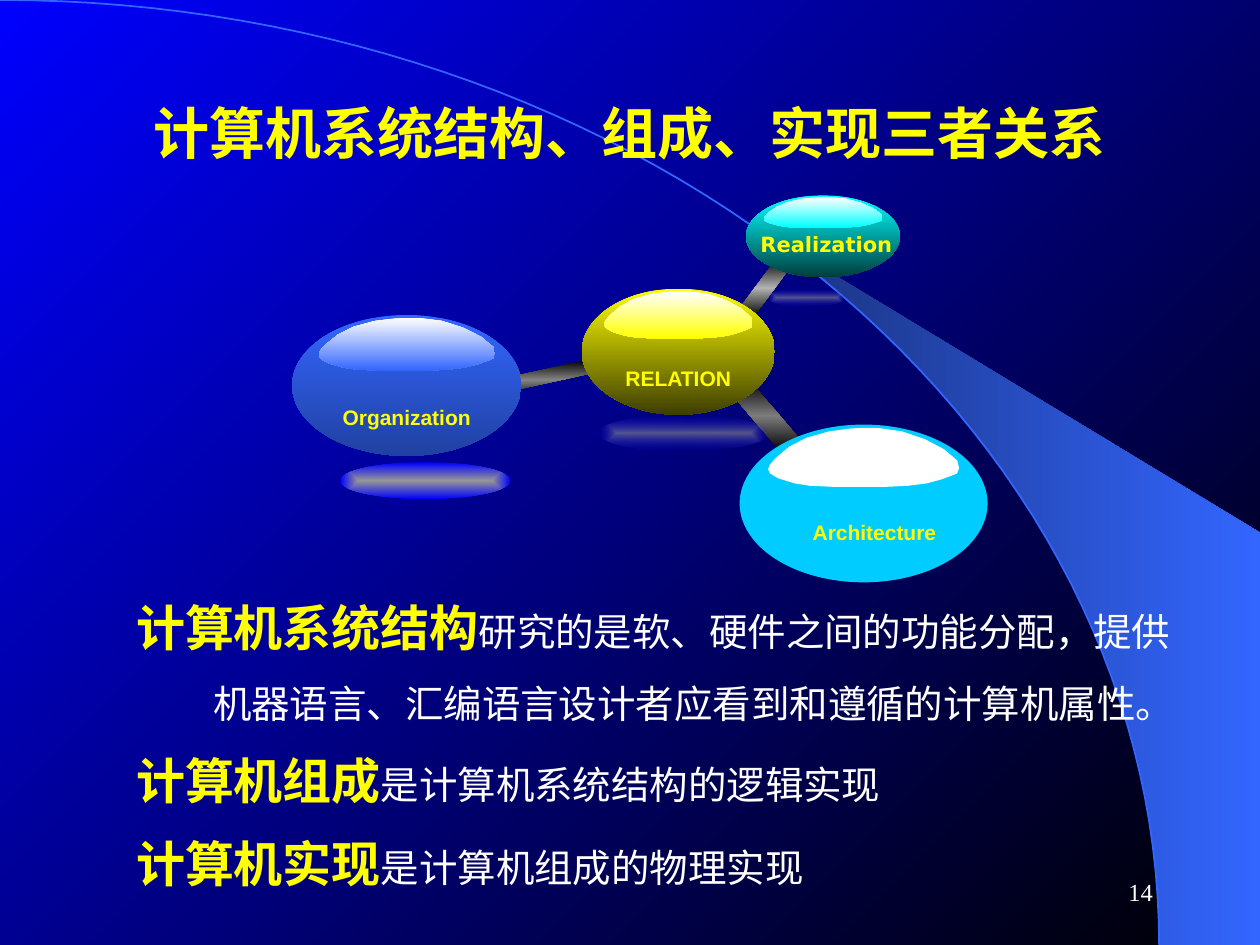
import math

import pptx
import pptx.dml.color
import pptx.enum.shapes
import pptx.enum.text
import pptx.oxml
import pptx.oxml.ns
import pptx.util

Cm, Pt = pptx.util.Cm, pptx.util.Pt
SHAPE = pptx.enum.shapes.MSO_SHAPE
ALIGN = pptx.enum.text.PP_ALIGN
ANCHOR = pptx.enum.text.MSO_ANCHOR
FIT = pptx.enum.text.MSO_AUTO_SIZE
YELLOW, WHITE, BLACK, BLUE = "FFFF00", "FFFFFF", "000000", "3366FF"
SERIF = "Times New Roman"

# Outline of a bubble's highlight, as fractions of its box
HIGHLIGHT = [
    (1, .68), (.99, .77), (.96, .81), (.91, .87), (.83, .94), (.73, .98),
    (.6, 1), (.36, 1), (.22, .98), (.14, .94), (.05, .85), (.01, .77),
    (0, .7), (.01, .62), (.04, .51), (.11, .32), (.2, .17), (.32, .06),
    (.44, .01), (.51, 0), (.57, 0), (.7, .06), (.82, .19), (.92, .36),
    (.99, .55)]


def color(text):
    return pptx.dml.color.RGBColor.from_string(text)


def gradient(fill, owner, stops, angle=None):
    """Fill with (position, colour, opacity) stops; no angle means from the centre."""
    fill.gradient()
    grad = next(owner.iter(pptx.oxml.ns.qn("a:gradFill")))
    marks = "".join(
        f'<a:gs pos="{place * 1000}"><a:srgbClr val="{shade}">'
        f'<a:alpha val="{opacity * 1000}"/></a:srgbClr></a:gs>'
        for place, shade, opacity in stops)
    if angle is None:
        course = ('<a:path path="rect"><a:fillToRect l="50000" t="50000" '
                  'r="50000" b="50000"/></a:path>')
    else:
        course = f'<a:lin ang="{round(angle * 60000)}" scaled="0"/>'
    grad.getparent().replace(grad, pptx.oxml.parse_xml(
        f'<a:gradFill {pptx.oxml.ns.nsdecls("a")} rotWithShape="1">'
        f'<a:gsLst>{marks}</a:gsLst>{course}</a:gradFill>'))


def paint(shape, stops, angle=None):
    """Give a shape a solid colour or a gradient, with no line or shadow."""
    shape.shadow.inherit = False
    shape.line.fill.background()
    if isinstance(stops, str):
        shape.fill.solid()
        shape.fill.fore_color.rgb = color(stops)
    else:
        gradient(shape.fill, shape._element, stops, angle)


def style(span, size, shade, bold=False, name=SERIF):
    span.font.size = Pt(size)
    span.font.bold = bold
    span.font.name = name
    span.font.color.rgb = color(shade)


def place(shape, left, top, width, height):
    shape.left, shape.top = Cm(left), Cm(top)
    shape.width, shape.height = Cm(width), Cm(height)


def outline(page, points, close=True):
    points = [(Cm(x), Cm(y)) for x, y in points]
    builder = page.shapes.build_freeform(*points[0], scale=1.0)
    builder.add_line_segments(points[1:], close=close)
    return builder.convert_to_shape()


def text_box(page, left, top, width, height, text, align, **look):
    box = page.shapes.add_textbox(Cm(left), Cm(top), Cm(width), Cm(height))
    para = box.text_frame.paragraphs[0]
    para.text = text
    para.alignment = align
    style(para.runs[0], **look)
    return box


def backdrop(page, width, height):
    """Blue gradient, a quarter-ellipse line and the sweep that follows it."""
    gradient(page.background.fill, page._element,
             [(0, "0000FF", 100), (100, BLACK, 100)], 45)
    radius_x, radius_y = 0.92 * width, height

    def curve(start, steps=60):
        turns = [start + (math.pi / 2 - start) * i / steps for i in range(steps + 1)]
        return [(radius_x * math.sin(t), height - radius_y * math.cos(t)) for t in turns]

    sweep = outline(page, curve(math.asin(0.64)) + [(width, height), (width, 10.74)])
    paint(sweep, [(0, "182F76", 100), (100, BLUE, 100)], 0)
    arc = outline(page, curve(0), close=False)
    arc.shadow.inherit = False
    arc.fill.background()
    arc.line.color.rgb = color(BLUE)
    arc.line.width = Pt(1)
    # Send both behind the placeholders
    for index, shape in enumerate((sweep, arc), 2):
        page.shapes._spTree.insert(index, shape._element)


def heading(page, left, top, width, height):
    title = page.shapes.title
    place(title, left, top, width, height)
    frame = title.text_frame
    frame.text = "计算机系统结构、组成、实现三者关系"
    frame.auto_size = FIT.NONE
    frame.vertical_anchor = ANCHOR.TOP
    frame.margin_top = Cm(0.28)
    frame.paragraphs[0].alignment = ALIGN.CENTER
    style(frame.paragraphs[0].runs[0], 32, YELLOW, True)


def definitions(page, left, top, width, height):
    body = page.placeholders[1]
    place(body, left, top, width, height)
    frame = body.text_frame
    frame.auto_size = FIT.NONE
    lines = [
        ("计算机系统结构", "研究的是软、硬件之间的功能分配，提供"),
        ("", "机器语言、汇编语言设计者应看到和遵循的计算机属性。"),
        ("计算机组成", "是计算机系统结构的逻辑实现"),
        ("计算机实现", "是计算机组成的物理实现")]
    for index, (term, meaning) in enumerate(lines):
        para = frame.add_paragraph() if index else frame.paragraphs[0]
        props = para._p.get_or_add_pPr()
        props.set("marL", str(0 if term else Pt(44)))
        props.set("indent", "0")
        props.append(pptx.oxml.parse_xml(f'<a:buNone {pptx.oxml.ns.nsdecls("a")}/>'))
        para.space_before = Pt(13.8 if index else 0)
        for text, look in ((term, (28, YELLOW, True)), (meaning, (22, WHITE))):
            if text:
                span = para.add_run()
                span.text = text
                style(span, *look)


def bubble(page, left, top, width, height, shades, label, shift, drop, room, name="Arial"):
    """Glossy ellipse with a highlight and a label."""
    light, dark = shades
    plain = light == dark
    ball = page.shapes.add_shape(SHAPE.OVAL, Cm(left), Cm(top), Cm(width), Cm(height))
    paint(ball, light if plain else [(0, light, 100), (100, dark, 100)], 90)
    shine = outline(page, [(left + width * (0.115 + 0.77 * x),
                            top + height * (0.02 + 0.375 * y)) for x, y in HIGHLIGHT])
    paint(shine, WHITE if plain else [(0, WHITE, 100), (100, light, 100)], 90)
    text_box(page, left + width / 2 + shift - room / 2, top + drop, room, 0.76,
             label, ALIGN.CENTER, size=12, shade=YELLOW, bold=True, name=name)


def relation_diagram(page, left, top):
    # Links, shaded vertically whatever their turn
    for x, y, width, height, turn, middle in (
            (8.77, 4.21, 1.52, 0.46, 229.5, "7C7C7C"),
            (3.56, 3.58, 2.44, 0.28, 347.6, "838383"),
            (8.92, 1.7, 1.22, 0.33, 306.6, "B2B2B2")):
        link = page.shapes.add_shape(
            SHAPE.RECTANGLE, Cm(left + x), Cm(top + y), Cm(width), Cm(height))
        link.rotation = turn
        paint(link, [(0, BLACK, 100), (50, middle, 100), (100, BLACK, 100)],
              (90 - turn) % 360)
    # Bubbles
    for x, y, *rest in (
            (5.84, 1.88, 3.89, 2.54, (YELLOW, "3E3E00"), "RELATION", 0, 1.42, 2.67),
            (9.15, 0, 3.1, 1.65, ("00FFFF", "003E3E"), "Realization", 0.07, 0.61, 4.17,
             "DejaVu Sans"),
            (0, 2.41, 4.62, 2.84, (BLUE, "2041A2"), "Organization", 0, 1.68, 3.1),
            (9.02, 4.62, 5, 3.18, ("00CCFF", "00CCFF"), "Architecture", 0.22, 1.78, 3)):
        bubble(page, left + x, top + y, *rest)
    # Glows under the bubbles
    for x, y, width, height, inner, outer in (
            (0.97, 5.38, 3.43, 0.74, 100, 100),
            (6.18, 4.42, 3.43, 0.74, 58, 0),
            (9.58, 1.88, 1.57, 0.36, 58, 0)):
        glow = page.shapes.add_shape(
            SHAPE.OVAL, Cm(left + x), Cm(top + y), Cm(width), Cm(height))
        paint(glow, [(0, "969696", inner), (100, "0000FF", outer)])


def main():
    deck = pptx.Presentation()
    deck.slide_width, deck.slide_height = Cm(25.4), Cm(19.05)
    page = deck.slides.add_slide(deck.slide_layouts[1])
    backdrop(page, 25.4, 19.05)
    heading(page, 1.9, 1.7, 21.6, 3.18)
    number = text_box(page, 18.21, 17.35, 5.28, 1.27, "14", ALIGN.RIGHT,
                      size=14, shade=WHITE)
    number.text_frame.word_wrap = True
    number.text_frame.vertical_anchor = ANCHOR.MIDDLE
    definitions(page, 2.49, 11.91, 22, 6.2)
    relation_diagram(page, 5.89, 3.94)
    deck.save("out.pptx")


if __name__ == "__main__":
    main()
